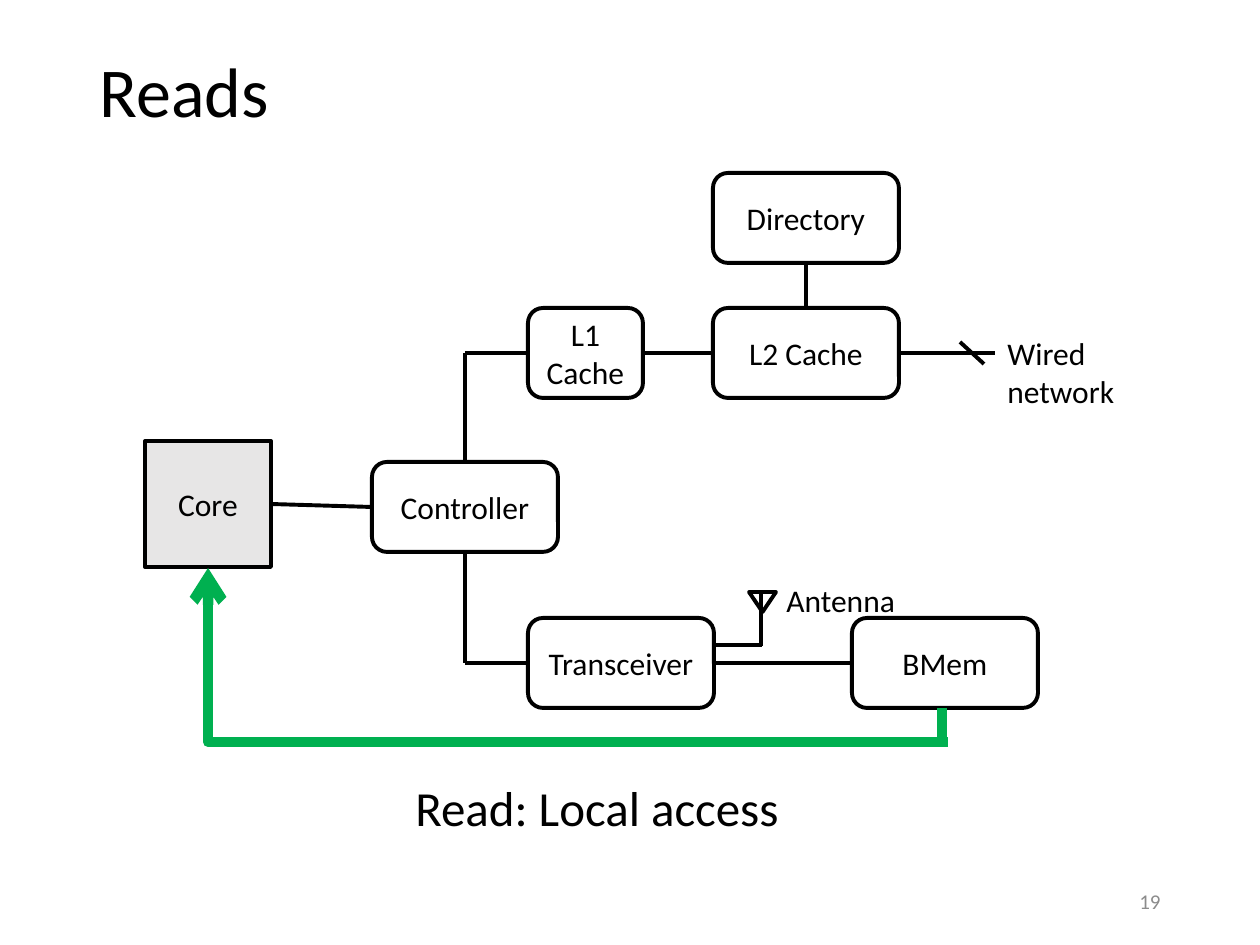
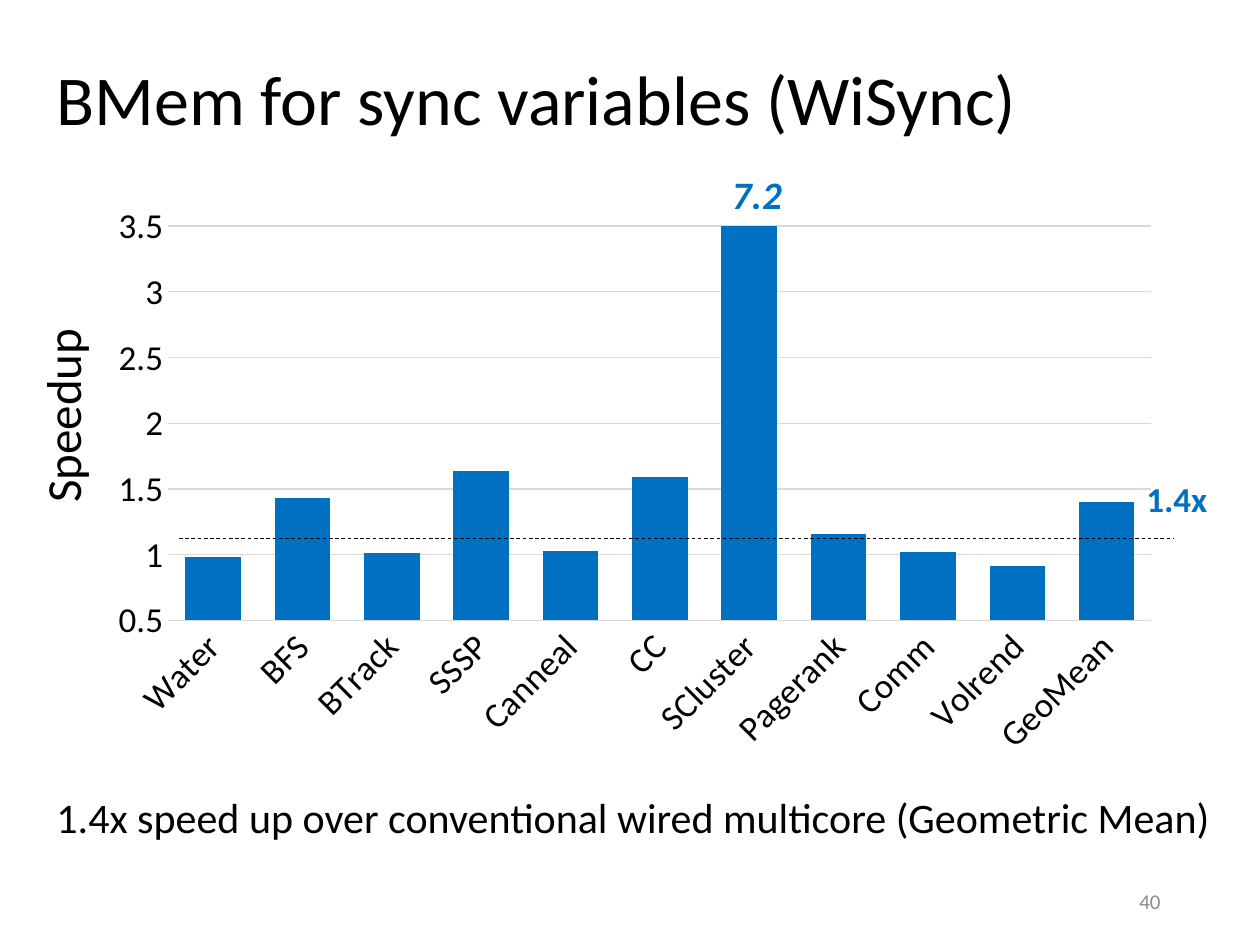
from lxml import etree
from pptx import Presentation
from pptx import util as u
from pptx.chart.data import CategoryChartData
from pptx.dml.color import RGBColor
from pptx.enum import chart as charts, dml, shapes, text
from pptx.oxml.ns import qn

EMU_PER_PX = 914400 / 126
FONT = "Calibri"
BLACK = RGBColor(0x00, 0x00, 0x00)
WHITE = RGBColor(0xFF, 0xFF, 0xFF)
CORE_GRAY = RGBColor(0xE7, 0xE6, 0xE6)
GRID_GRAY = RGBColor(0xD9, 0xD9, 0xD9)
NUMBER_GRAY = RGBColor(0x8C, 0x8C, 0x8C)
READ_GREEN = RGBColor(0x00, 0xB0, 0x50)
BLUE = RGBColor(0x00, 0x70, 0xC0)
ORANGE = RGBColor(0xED, 0x7D, 0x31)
SERIES_GRAY = RGBColor(0xA5, 0xA5, 0xA5)

TOP, LEFT, BOTTOM, RIGHT = range(4)
BLOCK_WIDTH, BLOCK_HEIGHT = 186, 90
CENTER = text.PP_ALIGN.CENTER
MIDDLE = text.MSO_ANCHOR.MIDDLE

SPEEDUPS = {
    "Water": 0.98, "BFS": 1.43, "BTrack": 1.01, "SSSP": 1.64,
    "Canneal": 1.03, "CC": 1.59, "SCluster": 7.2, "Pagerank": 1.16,
    "Comm": 1.02, "Volrend": 0.91, "GeoMean": 1.4,
}


def px(*lengths):
    return [u.Emu(round(length * EMU_PER_PX)) for length in lengths]


def style_font(font, size, color=BLACK, bold=False, italic=False):
    font.name, font.size = FONT, u.Pt(size)
    font.bold, font.italic = bold, italic
    font.color.rgb = color


def write(frame, content, size, color=BLACK, align=text.PP_ALIGN.LEFT,
          anchor=text.MSO_ANCHOR.TOP, wrap=True, bold=False, italic=False):
    frame.text = content
    frame.word_wrap = wrap
    frame.vertical_anchor = anchor
    for para in frame.paragraphs:
        para.alignment = align
        for span in para.runs:
            style_font(span.font, size, color, bold, italic)


def add_text(page, content, bounds, size, **style):
    box = page.shapes.add_textbox(*px(*bounds))
    write(box.text_frame, content, size, **style)
    return box


def add_page(deck, title, bounds, number):
    page = deck.slides.add_slide(deck.slide_layouts[5])
    heading = page.shapes.title
    heading.left, heading.top, heading.width, heading.height = px(*bounds)
    write(heading.text_frame, title, 40, anchor=MIDDLE)
    heading.text_frame.auto_size = text.MSO_AUTO_SIZE.NONE
    heading.text_frame.paragraphs[0].line_spacing = 0.9
    add_text(page, number, (890, 876, 283, 50), 12, color=NUMBER_GRAY,
             align=text.PP_ALIGN.RIGHT, anchor=MIDDLE)
    return page


def add_box(page, kind, bounds, fill=None, outlined=True):
    box = page.shapes.add_shape(kind, *px(*bounds))
    box.shadow.inherit = False
    if fill is None:
        box.fill.background()
    else:
        box.fill.solid()
        box.fill.fore_color.rgb = fill
    if outlined:
        box.line.color.rgb = BLACK
        box.line.width = u.Pt(2.25)
    else:
        box.line.fill.background()
    return box


def add_block(page, label, left, top, width=BLOCK_WIDTH):
    block = add_box(page, shapes.MSO_SHAPE.ROUNDED_RECTANGLE,
                    (left, top, width, BLOCK_HEIGHT), WHITE)
    write(block.text_frame, label, 18, align=CENTER, anchor=MIDDLE)
    return block


def add_line(page, start, end, color=BLACK, width=2.25,
             kind=shapes.MSO_CONNECTOR.STRAIGHT):
    """Each end is either an (x, y) point in px or a (block, side) pair."""
    joined = [not isinstance(tip[0], int) for tip in (start, end)]
    points = [(0, 0) if held else tip for held, tip in zip(joined, (start, end))]
    line = page.shapes.add_connector(kind, *px(*points[0], *points[1]))
    if joined[0]:
        line.begin_connect(*start)
    if joined[1]:
        line.end_connect(*end)
    line.line.color.rgb = color
    line.line.width = u.Pt(width)
    etree.SubElement(line._element.spPr, qn("a:effectLst"))
    return line


def add_read_arrow(page):
    """One-corner connector: down from the core, then right to BMem."""
    arrow = add_line(page, (665, 285), (491, 1025), READ_GREEN, 6,
                     shapes.MSO_CONNECTOR.ELBOW)
    properties = arrow._element.spPr
    properties.find(qn("a:xfrm")).set("rot", str(270 * 60000))
    properties.find(qn("a:prstGeom")).set("prst", "bentConnector2")
    etree.SubElement(properties.find(qn("a:ln")), qn("a:headEnd"), type="arrow")
    add_line(page, (942, 708), (942, 745), READ_GREEN, 6)


def add_antenna(page):
    add_line(page, (762, 645), (714, 645))
    add_line(page, (761, 646), (761, 592))
    dish = add_box(page, shapes.MSO_SHAPE.ISOSCELES_TRIANGLE, (749, 592, 27, 20))
    dish.rotation = 180
    add_text(page, "Antenna", (774, 575, 135, 50), 18, wrap=False)


def build_reads(deck):
    page = add_page(deck, "Reads", (87, 3, 1086, 183), "19")
    core = add_box(page, shapes.MSO_SHAPE.RECTANGLE, (145, 441, 126, 126), CORE_GRAY)
    write(core.text_frame, "Core", 18, align=CENTER, anchor=MIDDLE)
    controller = add_block(page, "Controller", 372, 462)
    l1_cache = add_block(page, "L1 Cache", 528, 308, 115)
    transceiver = add_block(page, "Transceiver", 528, 618)
    l2_cache = add_block(page, "L2 Cache", 713, 308)
    bmem = add_block(page, "BMem", 852, 618)
    directory = add_block(page, "Directory", 713, 173)

    upper_bend, lower_bend = (465, 353), (465, 663)
    wire_end = (995, 353)
    for start, end in (
        ((core, RIGHT), (controller, LEFT)),
        (upper_bend, (controller, TOP)),
        (upper_bend, (l1_cache, LEFT)),
        (lower_bend, (controller, BOTTOM)),
        (lower_bend, (transceiver, LEFT)),
        ((transceiver, RIGHT), (bmem, LEFT)),
        ((l1_cache, RIGHT), (l2_cache, LEFT)),
        ((directory, BOTTOM), (l2_cache, TOP)),
        ((l2_cache, RIGHT), wire_end),
        ((960, 342), (984, 364)),
    ):
        add_line(page, start, end)
    add_antenna(page)
    add_text(page, "Wired\nnetwork", (995, 328, 134, 89), 18, wrap=False)
    add_read_arrow(page)
    caption = add_box(page, shapes.MSO_SHAPE.RECTANGLE, (387, 775, 420, 64),
                      WHITE, outlined=False)
    write(caption.text_frame, "Read: Local access", 28, align=CENTER, anchor=MIDDLE)


def add_speedup_chart(page):
    data = CategoryChartData()
    data.categories = list(SPEEDUPS)
    data.add_series("Series 1", list(SPEEDUPS.values()))
    for name in ("Series 2", "Series 3"):
        data.add_series(name, [None] * len(SPEEDUPS))
    chart = page.shapes.add_chart(charts.XL_CHART_TYPE.COLUMN_STACKED,
                                  *px(97, 193, 1076, 575), data).chart
    chart.has_legend = chart.has_title = False
    style_font(chart.font, 20)
    plot = chart.plots[0]
    plot.gap_width, plot.overlap = 61, 100
    plot.vary_by_categories = False
    for series, color in zip(plot.series, (BLUE, ORANGE, SERIES_GRAY)):
        series.format.fill.solid()
        series.format.fill.fore_color.rgb = color

    names, values = chart.category_axis, chart.value_axis
    for axis in (names, values):
        axis.major_tick_mark = axis.minor_tick_mark = charts.XL_TICK_MARK.NONE
        style_font(axis.tick_labels.font, 20)
    names._element.txPr.bodyPr.set("rot", str(-45 * 60000))
    values.minimum_scale, values.maximum_scale = 0.5, 3.5
    values.major_unit = 0.5
    values.has_major_gridlines = True
    values.format.line.fill.background()
    for line in (names.format.line, values.major_gridlines.format.line):
        line.color.rgb = GRID_GRAY
        line.width = u.Pt(0.75)


def build_speedup(deck):
    page = add_page(deck, "BMem for sync variables (WiSync)", (44, 32, 1172, 142), "40")
    add_speedup_chart(page)
    axis_title = add_text(page, "Speedup", (-39, 378, 202, 72), 28, wrap=False)
    axis_title.rotation = 270
    add_text(page, "1.4x speed up over conventional wired multicore (Geometric Mean)",
             (44, 785, 1218, 63), 24)
    baseline = add_line(page, (179, 538), (1173, 538), width=0.5)
    baseline.line.dash_style = dml.MSO_LINE.DASH
    peak = add_text(page, "7.2", (723, 175, 106, 50), 22.2, color=BLUE,
                    bold=True, italic=True)
    frame = peak.text_frame
    frame.margin_left, frame.margin_top, frame.margin_right, frame.margin_bottom = px(9, 5, 9, 5)
    frame.paragraphs[0].line_spacing = 0.8
    frame.paragraphs[0].space_before = u.Pt(10)
    add_text(page, "1.4x", (1134, 471, 106, 55), 20, color=BLUE, bold=True)


def main():
    deck = Presentation()
    deck.slide_width, deck.slide_height = px(1260, 945)
    build_reads(deck)
    build_speedup(deck)
    deck.save("out.pptx")


if __name__ == "__main__":
    main()
